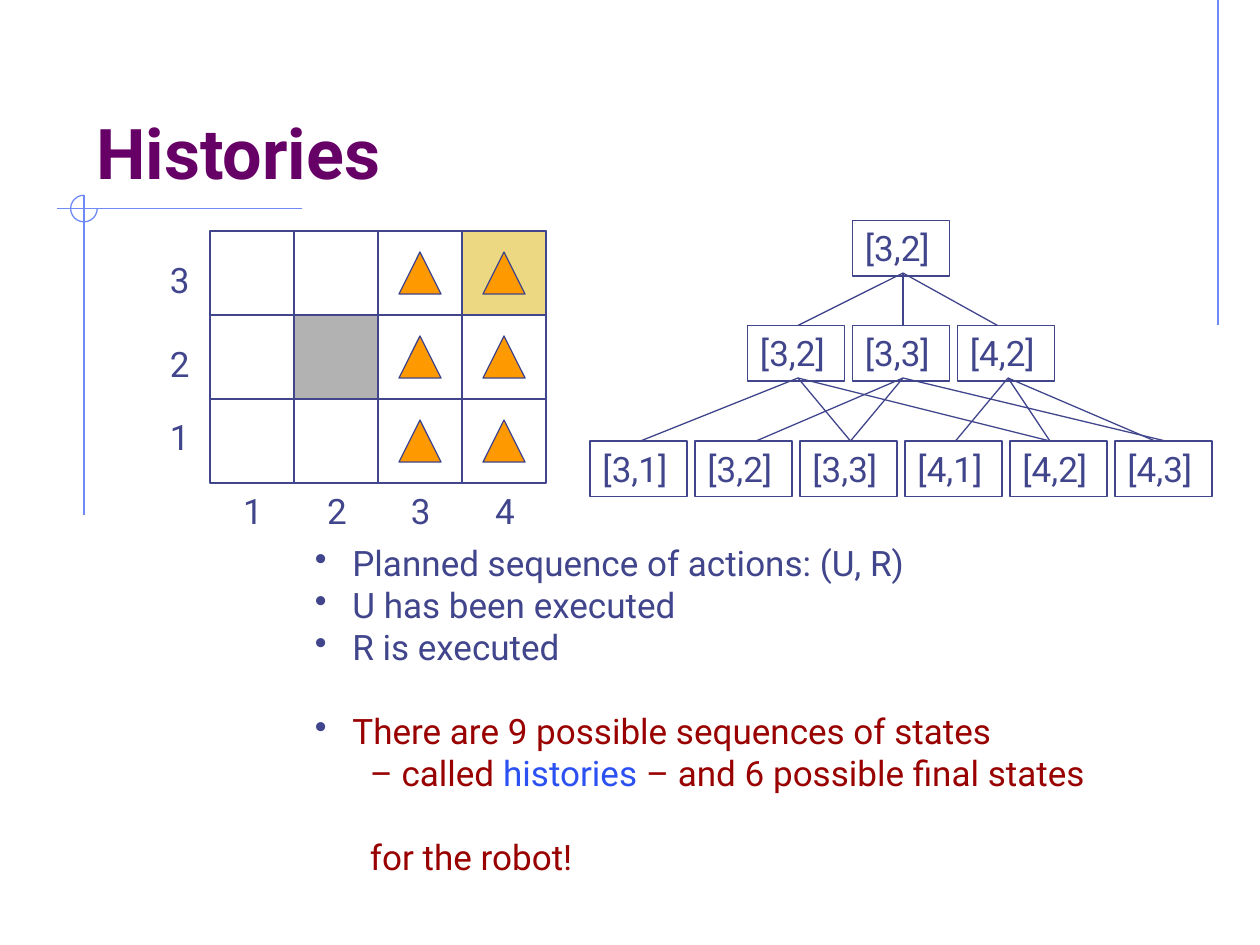
from dataclasses import dataclass

from lxml.etree import SubElement
from pptx import Presentation
from pptx.dml.color import RGBColor
from pptx.enum.shapes import MSO_CONNECTOR as Connector, MSO_SHAPE as Preset
from pptx.enum.text import MSO_ANCHOR as Anchor, PP_ALIGN as Align
from pptx.oxml.ns import qn
from pptx.util import Pt


@dataclass(frozen=True)
class Theme:
    font: str = "Roboto"
    title_size: int = 40
    body_size: int = 20
    line_width: float = 0.75
    title: str = "660066"
    ink: str = "40458C"
    accent: str = "6F89F7"
    goal: str = "ECD882"
    obstacle: str = "B2B2B2"
    robot: str = "FF9900"
    conclusion: str = "990000"
    term: str = "2B51F3"


THEME = Theme()
CELL, COLUMNS, ROWS = 48, 4, 3
GRID_LEFT, GRID_TOP = 120, 132
NODE_WIDTH, NODE_HEIGHT, NODE_STEP = 55.4, 31.7, 60

TREE_LEVELS = [
    (487.2, 126, ["[3,2]"]),
    (427.2, 186, ["[3,2]", "[3,3]", "[4,2]"]),
    (337.2, 252, ["[3,1]", "[3,2]", "[3,3]", "[4,1]", "[4,2]", "[4,3]"]),
]
TREE_EDGES = [
    (156, 186, {516: [456, 516, 570]}),
    (216, 252, {456: [486, 366, 600], 516: [486, 432, 666], 576: [600, 546, 660]}),
]

BODY = [
    (True, 0, [("Planned sequence of actions: (U, R)", THEME.ink)]),
    (True, 0, [("U has been executed", THEME.ink)]),
    (True, 0, [("R is executed", THEME.ink)]),
    (True, 24, [("There are 9 possible sequences of states", THEME.conclusion)]),
    (False, 0, [("– called ", THEME.conclusion), ("histories", THEME.term),
                (" – and 6 possible final states", THEME.conclusion)]),
    (False, 24, [("for the robot!", THEME.conclusion)]),
]


def color(value):
    return RGBColor.from_string(value)


def style_font(font, value, size=THEME.body_size, bold=False):
    font.name = THEME.font
    font.size = Pt(size)
    font.bold = bold
    font.color.rgb = color(value)


def add_line(slide, start, end, line_color=THEME.ink):
    line = slide.shapes.add_connector(
        Connector.STRAIGHT, *(Pt(value) for value in (*start, *end)))
    line.line.color.rgb = color(line_color)
    line.line.width = Pt(THEME.line_width)
    SubElement(line._element.spPr, qn("a:effectLst"))


def add_preset(slide, preset, box, fill=None, line_color=THEME.ink):
    shape = slide.shapes.add_shape(preset, *(Pt(value) for value in box))
    shape.shadow.inherit = False
    if fill:
        shape.fill.solid()
        shape.fill.fore_color.rgb = color(fill)
    else:
        shape.fill.background()
    shape.line.color.rgb = color(line_color)
    shape.line.width = Pt(THEME.line_width)
    return shape


def add_text_box(slide, box, wrap=True):
    text_box = slide.shapes.add_textbox(*(Pt(value) for value in box))
    text_box.text_frame.word_wrap = wrap
    return text_box.text_frame


def add_title(slide, text):
    text_frame = add_text_box(slide, (48, 24, 612, 90))
    text_frame.vertical_anchor = Anchor.BOTTOM
    text_frame.text = text
    style_font(text_frame.paragraphs[0].runs[0].font, THEME.title, THEME.title_size, True)


def add_label(slide, left, top, text):
    text_frame = add_text_box(slide, (left, top, 25.9, 31.7), wrap=False)
    text_frame.text = text
    style_font(text_frame.paragraphs[0].runs[0].font, THEME.ink)


def add_node(slide, left, top, text):
    node = add_preset(slide, Preset.RECTANGLE, (left, top, NODE_WIDTH, NODE_HEIGHT))
    text_frame = node.text_frame
    text_frame.word_wrap = False
    text_frame.vertical_anchor = Anchor.TOP
    text_frame.text = text
    paragraph = text_frame.paragraphs[0]
    paragraph.alignment = Align.LEFT
    style_font(paragraph.runs[0].font, THEME.ink)


def add_decoration(slide):
    add_line(slide, (696, 0), (696, 186), THEME.accent)
    add_line(slide, (172.8, 119.3), (32.4, 119.3), THEME.accent)
    add_line(slide, (48, 111.6), (48, 294.5), THEME.accent)
    arc = add_preset(slide, Preset.ARC, (40.4, 111.6, 15.2, 15.2), line_color=THEME.accent)
    arc.adjustments[0] = 0
    arc.adjustments[1] = 162


def cell_box(column, row, inset=0):
    size = CELL - 2 * inset
    return (GRID_LEFT + (column - 1) * CELL + inset,
            GRID_TOP + (ROWS - row) * CELL + inset, size, size)


def add_grid(slide):
    right, bottom = GRID_LEFT + COLUMNS * CELL, GRID_TOP + ROWS * CELL
    add_preset(slide, Preset.RECTANGLE, cell_box(4, 3), THEME.goal)
    add_preset(slide, Preset.RECTANGLE, (GRID_LEFT, GRID_TOP, COLUMNS * CELL, ROWS * CELL))
    for x in range(GRID_LEFT + CELL, right, CELL):
        add_line(slide, (x, GRID_TOP), (x, bottom))
    for y in range(GRID_TOP + CELL, bottom, CELL):
        add_line(slide, (GRID_LEFT, y), (right, y))
    add_preset(slide, Preset.RECTANGLE, cell_box(2, 2), THEME.obstacle)
    for column in (3, 4):
        for row in range(1, ROWS + 1):
            add_preset(slide, Preset.ISOSCELES_TRIANGLE, cell_box(column, row, 12), THEME.robot)
    for column in range(COLUMNS):
        add_label(slide, GRID_LEFT + 11.8 + column * CELL, bottom, str(column + 1))
    for row, top in {3: 144, 2: 192, 1: 234}.items():
        add_label(slide, 90, top, str(row))


def add_tree(slide):
    for left, top, states in TREE_LEVELS:
        for index, state in enumerate(states):
            add_node(slide, left + index * NODE_STEP, top, state)
    for top, bottom, edges in TREE_EDGES:
        for parent, children in edges.items():
            for child in children:
                add_line(slide, (parent, top), (child, bottom))


def set_indent(paragraph, bulleted):
    properties = paragraph._p.get_or_add_pPr()
    margin = Pt(21.5 if bulleted else 31.5)
    properties.set("marL", str(margin))
    properties.set("indent", str(-margin if bulleted else 0))
    if bulleted:
        bullet_color = SubElement(properties, qn("a:buClr"))
        SubElement(bullet_color, qn("a:srgbClr")).set("val", THEME.ink)
        SubElement(properties, qn("a:buChar")).set("char", "•")


def add_body(slide):
    text_frame = add_text_box(slide, (172.8, 306, 480, 199.8))
    for index, (bulleted, space, runs) in enumerate(BODY):
        paragraph = text_frame.add_paragraph() if index else text_frame.paragraphs[0]
        set_indent(paragraph, bulleted)
        if space:
            paragraph.space_before = Pt(space)
        for text, text_color in runs:
            run = paragraph.add_run()
            run.text = text
            style_font(run.font, text_color)


def main():
    presentation = Presentation()
    presentation.slide_width, presentation.slide_height = Pt(720), Pt(540)
    slide = presentation.slides.add_slide(presentation.slide_layouts[6])
    add_decoration(slide)
    add_title(slide, "Histories")
    add_grid(slide)
    add_tree(slide)
    add_body(slide)
    presentation.save("out.pptx")


if __name__ == "__main__":
    main()
